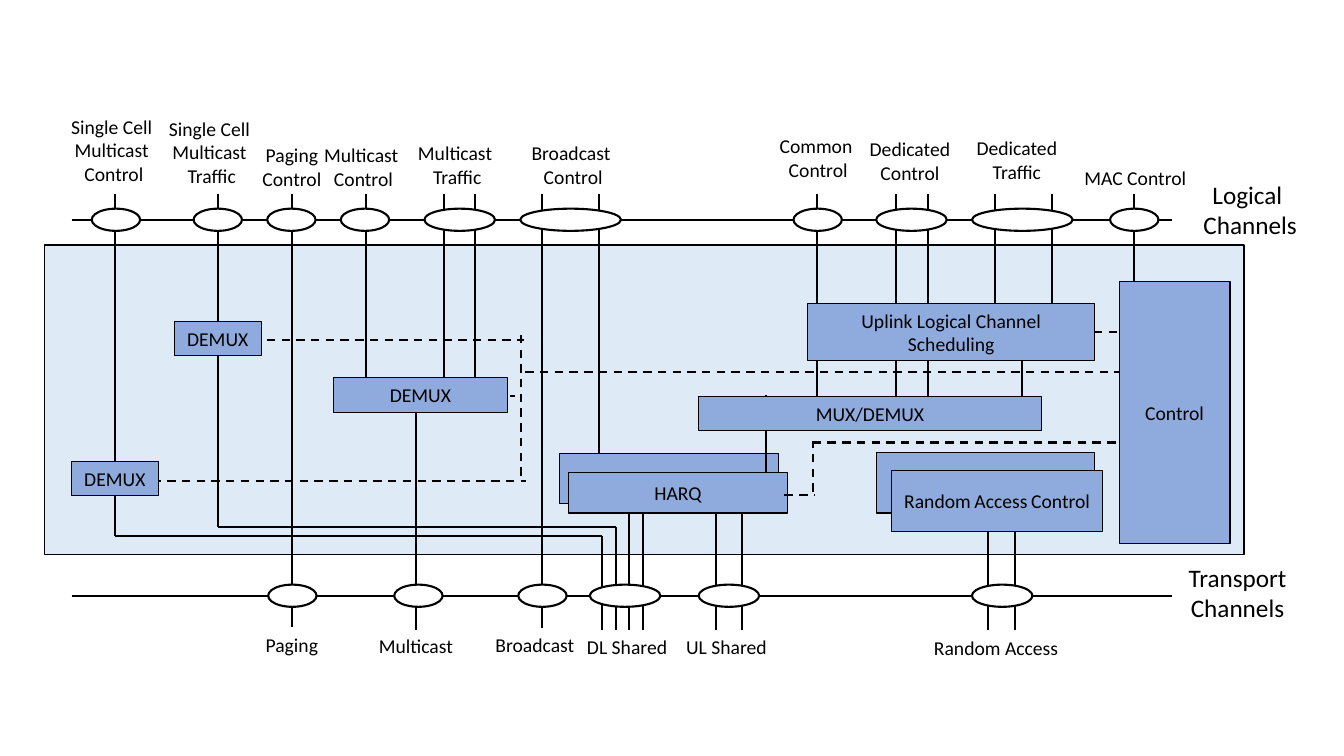
from lxml import etree
from pptx import Presentation
from pptx.dml.color import RGBColor
from pptx.enum.dml import MSO_LINE
from pptx.enum.shapes import MSO_CONNECTOR, MSO_SHAPE
from pptx.enum.text import MSO_ANCHOR, PP_ALIGN
from pptx.oxml.ns import qn
from pptx.util import Inches, Pt

RECT, OVAL = MSO_SHAPE.RECTANGLE, MSO_SHAPE.OVAL
LINE, DASH = MSO_CONNECTOR.STRAIGHT, MSO_LINE.DASH
LEFT, MID = PP_ALIGN.LEFT, PP_ALIGN.CENTER
MIDDLE, TOP = MSO_ANCHOR.MIDDLE, MSO_ANCHOR.TOP
INK = {"line": "000000", "text": "000000", "panel": "DEEBF7",
       "block": "8FAADC", "port": "FFFFFF"}
FONT = "Calibri"

# All places are columns and rows of a grid with ten cells to the inch.
CELL = Inches(0.1)
WIDE = 119
RAIL = (2.7, 111.8)
PORT = 2.2


def at(box, col, row):
    return round((box[0] + col) * CELL), round((box[1] + row) * CELL)


def tint(name):
    return RGBColor.from_string(INK[name])


def write(para, runs, size, align=MID):
    """Runs are strings, or (string, size) pairs."""
    para.alignment = align
    for item in runs:
        text, pts = item if isinstance(item, tuple) else (item, size)
        run = para.add_run()
        run.text = text
        run.font.size = Pt(pts)
        run.font.name = FONT
        run.font.color.rgb = tint("text")


def shape(slide, box, kind, place, fill, weight):
    col, row, wide, high = place
    item = slide.shapes.add_shape(kind, *at(box, col, row),
                                  round(wide * CELL), round(high * CELL))
    item.shadow.inherit = False
    item.fill.solid()
    item.fill.fore_color.rgb = tint(fill)
    item.line.color.rgb = tint("line")
    item.line.width = Pt(weight)
    return item


def block(slide, box, place, runs=()):
    item = shape(slide, box, RECT, place, "block", 0.75)
    if runs:
        frame = item.text_frame
        frame.word_wrap = True
        frame.vertical_anchor = MIDDLE
        write(frame.paragraphs[0], runs, 14)


def wire(slide, box, start, end, dash=False):
    item = slide.shapes.add_connector(LINE, *at(box, *start), *at(box, *end))
    item.line.color.rgb = tint("line")
    item.line.width = Pt(1.5)
    if dash:
        item.line.dash_style = DASH
    etree.SubElement(item._element.spPr, qn("a:effectLst"))


def label(slide, box, place, lines, size=14, first=MID):
    """Place is centre column, top row and width."""
    mid, row, wide = place
    high = 1 + len(lines) * size / 6
    item = slide.shapes.add_textbox(*at(box, mid - wide / 2, row),
                                    round(wide * CELL), round(high * CELL))
    frame = item.text_frame
    frame.word_wrap = False
    frame.vertical_anchor = TOP
    for i, line in enumerate(lines):
        para = frame.add_paragraph() if i else frame.paragraphs[0]
        write(para, [line], size, MID if i else first)


def rail(slide, box, row, ports, labels):
    wire(slide, box, (RAIL[0], row), (RAIL[1], row))
    for mid, wide in ports:
        place = (mid - wide / 2, row - PORT / 2, wide, PORT)
        shape(slide, box, OVAL, place, "port", 1.5)
    for *place, lines in labels:
        label(slide, box, place, lines)


def logical(slide, box):
    ports = [(7.1, 4.8), (17.2, 4.8), (24.5, 4.8), (31.8, 4.8), (41.2, 7),
             (52.2, 10), (76.7, 4.8), (86, 7), (97, 10), (108.1, 4.8)]
    labels = [
        (6.9, 0, 10.6, ["Single Cell ", "Multicast ", "Control"]),
        (16.6, 0.2, 10.6, ["Single Cell ", "Multicast ", "Traffic"]),
        (24.55, 2.8, 7.9, ["Paging", "Control"]),
        (31.65, 2.8, 15.9, ["Multicast ", "Control"]),
        (40.95, 2.6, 9.9, ["Multicast ", "Traffic"]),
        (52.45, 2.6, 15.9, ["Broadcast ", "Control"]),
        (76.75, 1.9, 15.9, ["Common ", "Control"]),
        (85.85, 2.2, 15.9, ["Dedicated", "Control"]),
        (96.45, 2.1, 15.9, ["Dedicated", "Traffic"]),
        (108.2, 5.1, 12.2, ["MAC Control"]),
    ]
    rail(slide, box, 10.9, ports, labels)
    label(slide, box, (119.6, 6.4, 11.4), ["Logical ", "Channels"], 18)


def transport(slide, box):
    ports = [(24.6, 4.8), (37.1, 4.8), (49.4, 4.8), (57.6, 7),
             (67.9, 6), (95, 6)]
    labels = [
        (24.55, 7.3, 7.3, ["Paging"]),
        (36.85, 7.4, 9.5, ["Multicast"]),
        (48.65, 7.3, 9.9, ["Broadcast"]),
        (57.8, 7.5, 10, ["DL Shared"]),
        (67.65, 7.5, 10.1, ["UL Shared"]),
        (94.4, 7.6, 14.4, ["Random Access"]),
    ]
    rail(slide, box, 4.1, ports, labels)
    label(slide, box, (118.7, 0.3, 12.4), ["Transport", "Channels"], 18, LEFT)


def wires(slide, box):
    head, foot = -5.1, 38.2
    down = [(7, 28.9), (17.2, 28), (24.6, 37.9), (31.9, 13.9), (39.6, 13.9),
            (42.7, 13.9), (49.4, 38), (55, 24.9), (76.6, 15.9), (84.5, 15.9),
            (87.6, 15.9), (94.3, 6.9), (99.9, 6.9), (108.1, 5)]
    for col, end in down:
        wire(slide, box, (col, head), (col, end))
    out = [(36.9, 15.1), (55.3, 28.9), (56.7, 28), (58, 26.4), (59.4, 26.4),
           (66.6, 26.4), (69.2, 26.4), (93.6, 26.9), (96.3, 26.9)]
    for col, start in out:
        wire(slide, box, (col, start), (col, foot))
    for start, end, row in [(7, 55.3, 28.9), (17.2, 56.7, 28)]:
        wire(slide, box, (start, row), (end, row))
    wire(slide, box, (97, 6.6), (97, 15.6))


def dashes(slide, box):
    across = [(47.7, 106.7, 12.6), (7.8, 47.8, 23.4), (20.6, 47.6, 9.4),
              (104.1, 107.1, 8.6), (76.2, 107.2, 19.6), (73.4, 76.4, 24.8),
              (44.7, 46.7, 15)]
    for start, end, row in across:
        wire(slide, box, (start, row), (end, row), True)
    for col, start, end in [(47.3, 22.9, 8.9), (76.2, 24.5, 19.5)]:
        wire(slide, box, (col, start), (col, end), True)


def mac(slide, box):
    shape(slide, box, RECT, (0, 0, *box[2:]), "panel", 1)
    wires(slide, box)
    block(slide, box, (51.1, 20.7, 21.7, 5))
    block(slide, box, (82.5, 20.6, 21.7, 6))
    wire(slide, box, (71.6, 14.9), (71.6, 22.9))
    block(slide, box, (52, 22.6, 21.7, 4), ["HARQ"])
    block(slide, box, (84, 22.4, 21, 6),
          ["Random", (" ", 11), "Access", (" ", 11), "Control"])
    block(slide, box, (75.7, 5.8, 28.5, 5.7),
          ["Uplink Logical Channel Scheduling"])
    block(slide, box, (64.9, 15, 34, 3.4), ["MUX/DEMUX"])
    dashes(slide, box)
    for col, row, wide in [(2.7, 21.5, 8.6), (28.7, 13.2, 17.2),
                           (12.9, 7.6, 8.6)]:
        block(slide, box, (col, row, wide, 3.4), ["DEMUX"])
    block(slide, box, (106.6, 3.6, 11, 26), ["Control"])


def main():
    deck = Presentation()
    deck.slide_width, deck.slide_height = Inches(13.33), Inches(7.5)
    slide = deck.slides.add_slide(deck.slide_layouts[6])
    mac(slide, (4.4, 24.3, WIDE, 30.7))
    logical(slide, (4.4, 10.9, WIDE, 13.4))
    transport(slide, (4.4, 55, WIDE, 11))
    deck.save("out.pptx")


if __name__ == "__main__":
    main()
